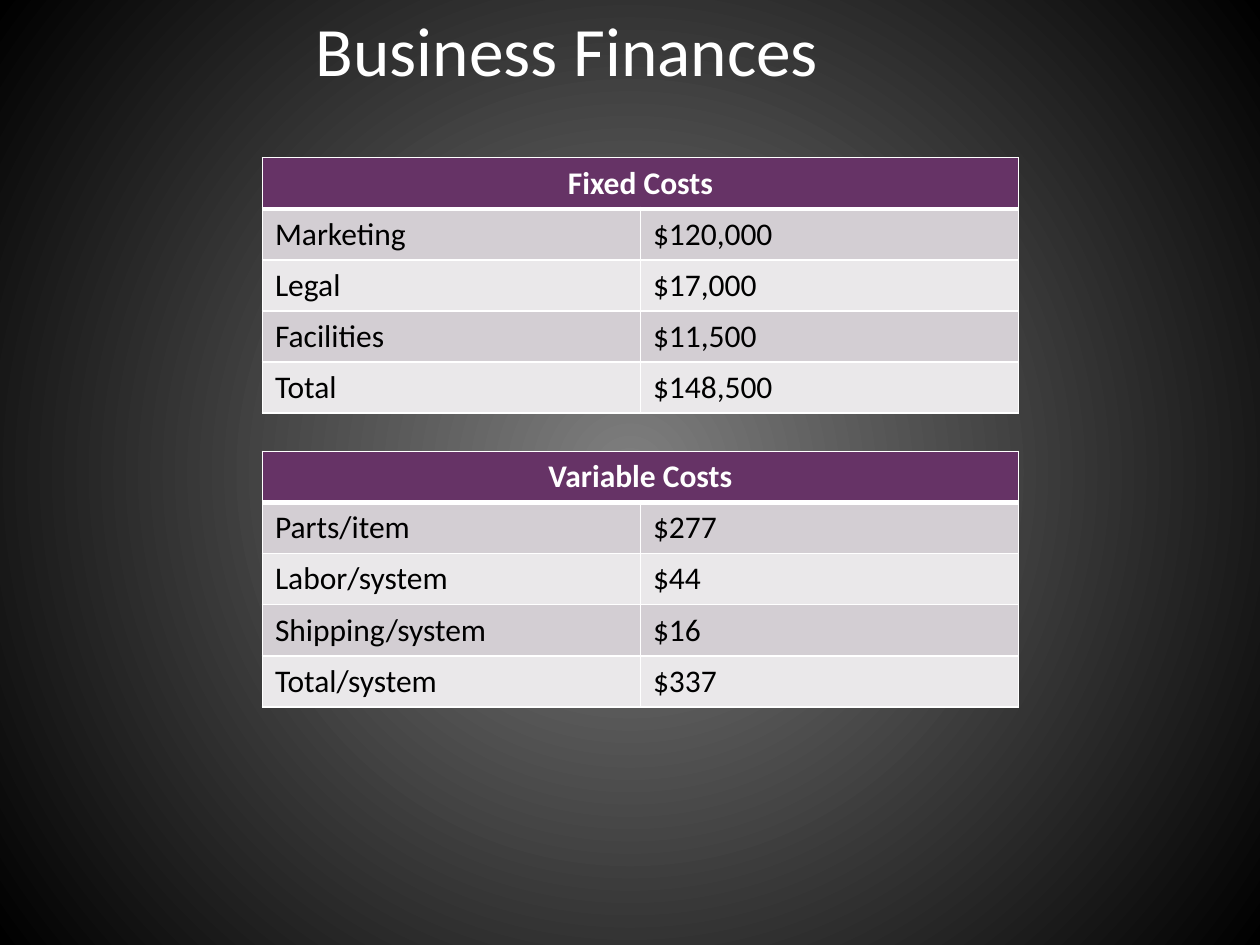
from lxml import etree
from pptx import Presentation, util as u
from pptx.dml.color import RGBColor
from pptx.enum import text as t
from pptx.oxml import ns

FONT = "Calibri"
WHITE, BLACK, PLUM = "FFFFFF", "000000", "663366"
BANDS = ("D3CED3", "EAE8EA")
FIXED = [("Marketing", "$120,000"), ("Legal", "$17,000"),
         ("Facilities", "$11,500"), ("Total", "$148,500")]
VARIABLE = [("Parts/item", "$277"), ("Labor/system", "$44"),
            ("Shipping/system", "$16"), ("Total/system", "$337")]


def tint(color, code):
    color.rgb = RGBColor.from_string(code)


def write(frame, words, size, code, bold=False, align=t.PP_ALIGN.LEFT):
    para = frame.paragraphs[0]
    para.alignment = align
    run = para.add_run()
    run.text = words
    run.font.name, run.font.size, run.font.bold = FONT, u.Pt(size), bold
    tint(run.font.color, code)


def glow(slide, inner, outer):
    """Fill the background with a circular gradient from the centre."""
    fill = slide.background.fill
    fill.gradient()
    for stop, code in zip(fill.gradient_stops, (inner, outer)):
        tint(stop.color, code)
    grad = slide.element.find(".//" + ns.qn("a:gradFill"))
    grad.remove(grad.find(ns.qn("a:lin")))
    path = etree.SubElement(grad, ns.qn("a:path"), path="circle")
    etree.SubElement(path, ns.qn("a:fillToRect"),
                     {side: "50000" for side in "ltrb"})


def edge(cell, widths):
    """Draw white cell borders; widths are points for left, right, top, bottom."""
    props = cell._tc.get_or_add_tcPr()
    for side, width in zip("LRTB", widths):
        line = etree.SubElement(props, ns.qn("a:ln" + side), w=str(u.Pt(width)))
        solid = etree.SubElement(line, ns.qn("a:solidFill"))
        etree.SubElement(solid, ns.qn("a:srgbClr"), val=WHITE)


def paint(cell, code, widths):
    edge(cell, widths)
    cell.fill.solid()
    tint(cell.fill.fore_color, code)


def head(slide, left, top, width, height):
    title = slide.shapes.title
    title.left, title.top = u.Cm(left), u.Cm(top)
    title.width, title.height = u.Cm(width), u.Cm(height)
    frame = title.text_frame
    frame.vertical_anchor = t.MSO_ANCHOR.MIDDLE
    frame.auto_size = t.MSO_AUTO_SIZE.NONE
    write(frame, "Business Finances", 39.6, WHITE, align=t.PP_ALIGN.CENTER)


def costs(slide, name, items, left, top, width, height):
    """Place a cost table with a merged heading over banded rows."""
    count = len(items) + 1
    table = slide.shapes.add_table(count, 2, u.Cm(left), u.Cm(top),
                                   u.Cm(width), u.Cm(height)).table
    for row in table.rows:
        row.height = u.Cm(height / count)
    for cell in table.rows[0].cells:
        paint(cell, PLUM, (1, 1, 1, 3))
    first = table.cell(0, 0)
    first.merge(table.cell(0, 1))
    write(first.text_frame, name, 18, WHITE, True, t.PP_ALIGN.CENTER)
    for r, item in enumerate(items, 1):
        for c, words in enumerate(item):
            cell = table.cell(r, c)
            paint(cell, BANDS[(r - 1) % 2], (1, 1, 3 if r == 1 else 1, 1))
            write(cell.text_frame, words, 18, BLACK)


def main():
    deck = Presentation()
    deck.slide_width, deck.slide_height = u.Cm(25.4), u.Cm(19.05)
    slide = deck.slides.add_slide(deck.slide_layouts[5])
    glow(slide, "7F7F7F", BLACK)
    head(slide, 0, 0, 22.86, 1.98)
    costs(slide, "Fixed Costs", FIXED, 5.29, 3.18, 15.24, 5.15)
    costs(slide, "Variable Costs", VARIABLE, 5.29, 9.1, 15.24, 5.15)
    deck.save("out.pptx")


if __name__ == "__main__":
    main()
